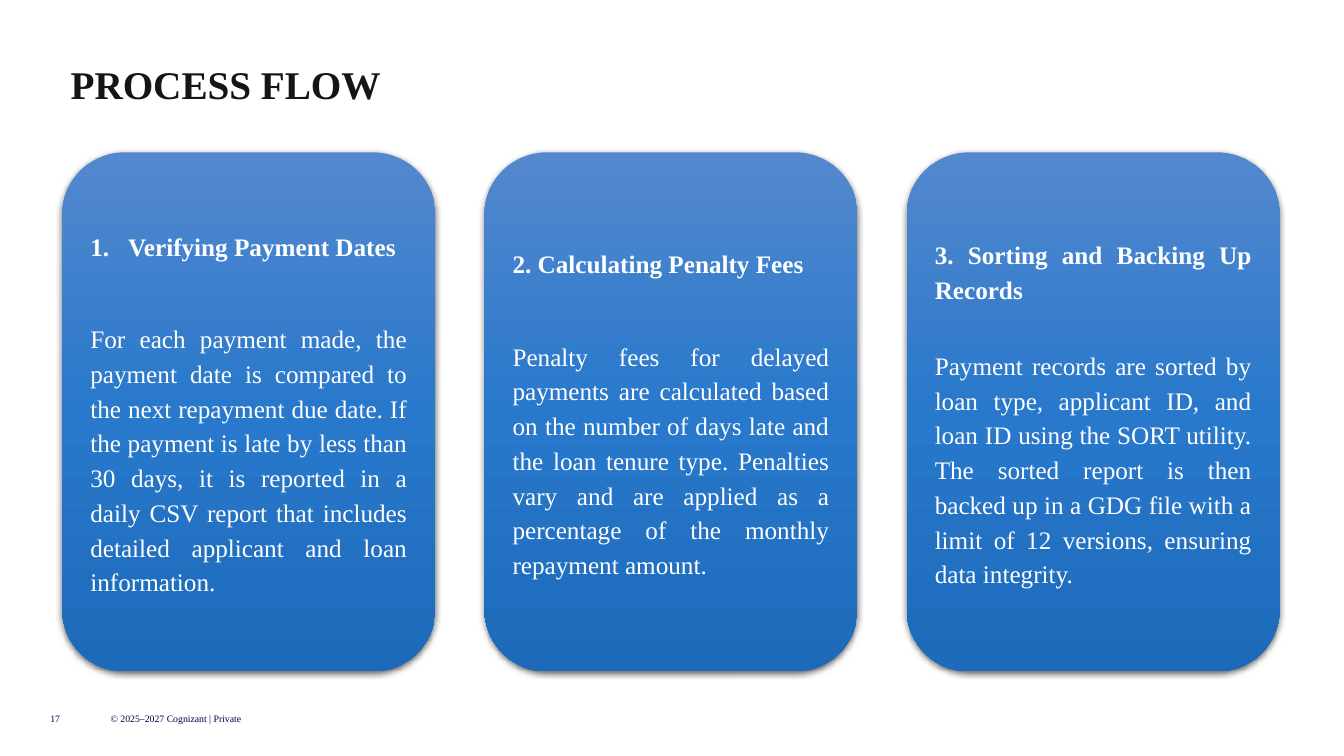
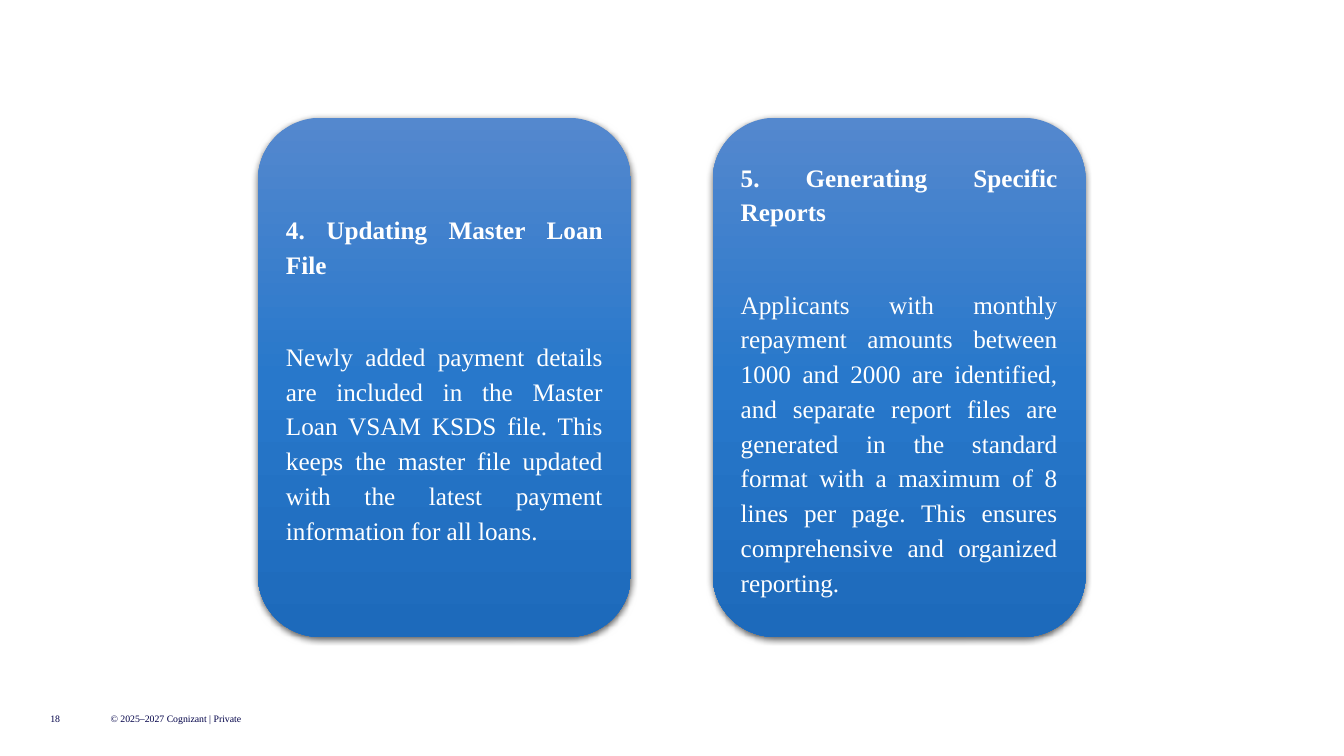
from dataclasses import dataclass

from lxml import etree
from pptx import Presentation
from pptx import util as u
from pptx.dml.color import RGBColor
from pptx.enum import shapes, text
from pptx.oxml.ns import qn


@dataclass(frozen=True)
class Theme:
    font: str = "Times New Roman"
    title: str = "151514"
    footer: str = "000048"
    card_text: str = "FFFFFF"
    shadow: str = "000000"
    gradient: tuple = ((0, "5488CE"), (50, "2878CB"), (100, "1D6ABB"))
    title_size: int = 28
    card_size: int = 18
    footer_size: int = 7


T = Theme()
TITLE_ONLY, BLANK = 5, 6
CARD_W, CARD_H = 9.4, 13.08
COPYRIGHT = "© 2025–2027 Cognizant | Private"

# Each card: heading, body, space after the heading (pt), numbered by the list
FIRST_CARDS = [
    ("Verifying Payment Dates",
     "For each payment made, the payment date is compared to the next repayment due date. "
     "If the payment is late by less than 30 days, it is reported in a daily CSV report "
     "that includes detailed applicant and loan information.", 41, True),
    ("2. Calculating Penalty Fees",
     "Penalty fees for delayed payments are calculated based on the number of days late and "
     "the loan tenure type. Penalties vary and are applied as a percentage of the monthly "
     "repayment amount.", 41, False),
    ("3. Sorting and Backing Up Records",
     "Payment records are sorted by loan type, applicant ID, and loan ID using the SORT "
     "utility. The sorted report is then backed up in a GDG file with a limit of 12 "
     "versions, ensuring data integrity.", 29.5, False),
]
LAST_CARDS = [
    ("4. Updating Master Loan File",
     "Newly added payment details are included in the Master Loan VSAM KSDS file. This keeps "
     "the master file updated with the latest payment information for all loans.", 41, False),
    ("5. Generating Specific Reports",
     "Applicants with monthly repayment amounts between 1000 and 2000 are identified, and "
     "separate report files are generated in the standard format with a maximum of 8 lines "
     "per page. This ensures comprehensive and organized reporting.", 41, False),
]


def apply(obj, **values):
    for name, value in values.items():
        setattr(obj, name, value)


def box(*lengths):
    return [u.Cm(n) for n in lengths]


def write(p, words, size, color, bold=False, **para):
    apply(p, alignment=text.PP_ALIGN.JUSTIFY, **para)
    r = p.add_run()
    r.text = words
    apply(r.font, name=T.font, size=u.Pt(size), bold=bold)
    r.font.color.rgb = RGBColor.from_string(color)


def frame(sp, anchor, margin=None):
    tf = sp.text_frame
    apply(tf, word_wrap=True, auto_size=text.MSO_AUTO_SIZE.NONE, vertical_anchor=anchor)
    if margin is not None:
        apply(tf, **{f"margin_{side}": margin for side in ("left", "top", "right", "bottom")})
    return tf


def add_node(parent, tag, **attrs):
    return etree.SubElement(parent, qn(tag), {k: str(v) for k, v in attrs.items()})


def paint_card(sp):
    # Vertical three-stop gradient
    sp.fill.gradient()
    sp.fill.gradient_angle = 270
    stops = sp.element.spPr.find(".//" + qn("a:gsLst"))
    stops.clear()
    for pos, color in T.gradient:
        add_node(add_node(stops, "a:gs", pos=pos * 1000), "a:srgbClr", val=color)
    sp.line.fill.background()
    # Soft shadow below
    sp.shadow.inherit = False
    effects = sp.element.spPr.find(qn("a:effectLst"))
    shadow = add_node(effects, "a:outerShdw", blurRad=u.Pt(4.5), dist=u.Pt(1.5),
                      dir=5400000, algn="ctr", rotWithShape=0)
    add_node(add_node(shadow, "a:srgbClr", val=T.shadow), "a:alpha", val=63000)


def add_card(s, left, top, heading, body, gap, numbered):
    sp = s.shapes.add_shape(shapes.MSO_SHAPE.ROUNDED_RECTANGLE, *box(left, top, CARD_W, CARD_H))
    paint_card(sp)
    tf = frame(sp, text.MSO_ANCHOR.MIDDLE)
    p = tf.paragraphs[0]
    write(p, heading, T.card_size, T.card_text, True, line_spacing=1.15, space_after=u.Pt(gap))
    if numbered:
        pPr = p._p.get_or_add_pPr()
        indent = u.Cm(0.95)
        pPr.set("marL", str(indent))
        pPr.set("indent", str(-indent))
        add_node(pPr, "a:buAutoNum", type="arabicPeriod")
    write(tf.add_paragraph(), body, T.card_size, T.card_text,
          line_spacing=1.15, space_after=u.Pt(8))


def add_cards(s, left, top, pitch, cards):
    for i, card in enumerate(cards):
        add_card(s, left + i * pitch, top, *card)


def add_title(s, words):
    sp = s.shapes.title
    apply(sp, **dict(zip(("left", "top", "width", "height"), box(1.78, 1.65, 31.6, 1.07))))
    tf = frame(sp, text.MSO_ANCHOR.TOP, 0)
    write(tf.paragraphs[0], words, T.title_size, T.title, True, line_spacing=0.9)


def add_footer(s, number):
    for left, width, words in ((1.27, 1.02, str(number)), (2.79, 4.93, COPYRIGHT)):
        sp = s.shapes.add_textbox(*box(left, 17.78, width, 0.64))
        tf = frame(sp, text.MSO_ANCHOR.MIDDLE, 0)
        write(tf.paragraphs[0], words, T.footer_size, T.footer)


def add_slide(prs, number, left, top, pitch, cards, title=None):
    s = prs.slides.add_slide(prs.slide_layouts[TITLE_ONLY if title else BLANK])
    add_footer(s, number)
    if title:
        add_title(s, title)
    add_cards(s, left, top, pitch, cards)


def main():
    prs = Presentation()
    apply(prs, slide_width=u.Cm(33.87), slide_height=u.Cm(19.05))
    add_slide(prs, 17, 1.57, 3.84, 10.64, FIRST_CARDS, "PROCESS FLOW")
    add_slide(prs, 18, 6.5, 2.97, 11.46, LAST_CARDS)
    prs.save("out.pptx")


if __name__ == "__main__":
    main()
